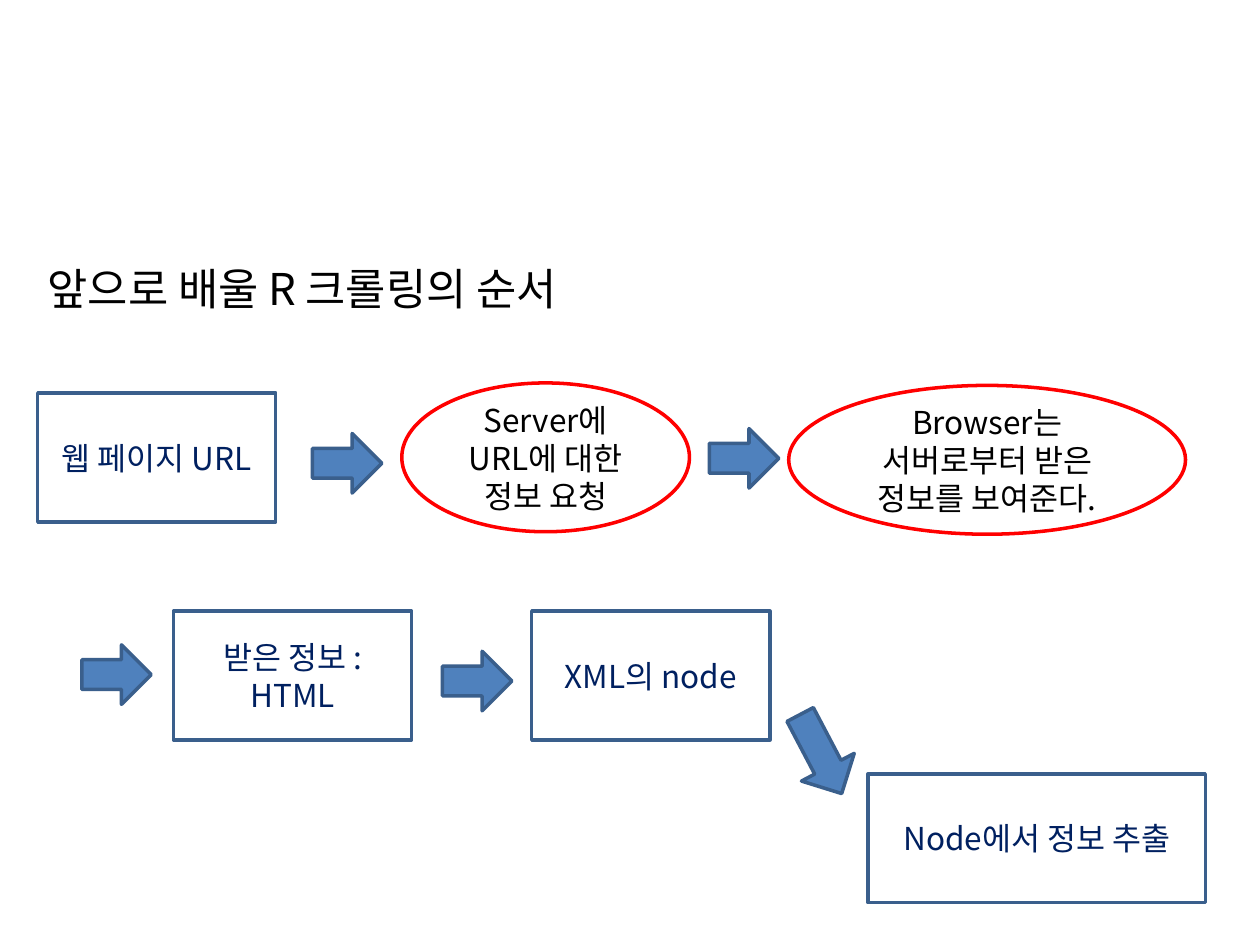
from dataclasses import dataclass

from lxml.etree import SubElement
from pptx import Presentation
from pptx.dml.color import RGBColor
from pptx.enum.shapes import MSO_SHAPE
from pptx.enum.text import MSO_ANCHOR, MSO_AUTO_SIZE, PP_ALIGN
from pptx.oxml.ns import qn
from pptx.util import Cm, Pt


@dataclass(frozen=True)
class Theme:
    font: str = "Noto Sans CJK KR"
    black: RGBColor = RGBColor(0, 0, 0)
    navy: RGBColor = RGBColor(0x00, 0x20, 0x60)
    blue: RGBColor = RGBColor(0x4F, 0x81, 0xBD)
    edge: RGBColor = RGBColor(0x3A, 0x5F, 0x8C)
    red: RGBColor = RGBColor(0xFF, 0, 0)
    title_size: Pt = Pt(25)
    body_size: Pt = Pt(18)
    leading: Pt = Pt(21.7)
    line: Pt = Pt(2)


THEME = Theme()


def set_attrs(obj, **values):
    for name, value in values.items():
        setattr(obj, name, value)


def write(shape, text, size, color, align, **frame):
    tf = shape.text_frame
    set_attrs(tf, word_wrap=True, auto_size=MSO_AUTO_SIZE.NONE,
              vertical_anchor=MSO_ANCHOR.MIDDLE, **frame)
    p = tf.paragraphs[0]
    p.alignment = align
    r = p.add_run()
    r.text = text
    set_attrs(r.font, name=THEME.font, size=size)
    r.font.color.rgb = color
    SubElement(r.font._element, qn("a:ea"), typeface=THEME.font)
    return p


def add_title(s, text):
    title = s.shapes.title
    set_attrs(title, left=Cm(0.71), top=Cm(4.72), width=Cm(24), height=Cm(2.16))
    write(title, text, THEME.title_size, THEME.black, PP_ALIGN.LEFT)


def add_outline(s, kind, left, top, width, height, edge):
    sp = s.shapes.add_shape(kind, Cm(left), Cm(top), Cm(width), Cm(height))
    sp.shadow.inherit = False
    sp.fill.background()
    sp.line.color.rgb = edge
    sp.line.width = THEME.line
    return sp


def add_label(sp, text, color, pad=0.25):
    p = write(sp, text, THEME.body_size, color, PP_ALIGN.CENTER,
              margin_left=Cm(pad), margin_right=Cm(pad))
    p.line_spacing = THEME.leading


def add_box(s, text, left, top, width=4.8, pad=0.25):
    sp = add_outline(s, MSO_SHAPE.RECTANGLE, left, top, width, 2.6, THEME.edge)
    add_label(sp, text, THEME.navy, pad)


def add_oval(s, text, left, top, width):
    sp = add_outline(s, MSO_SHAPE.OVAL, left, top, width, 3, THEME.red)
    add_label(sp, text, THEME.black)


def add_arrow(s, left, top, width=1.4, height=1.2,
              kind=MSO_SHAPE.RIGHT_ARROW, rotation=0):
    sp = add_outline(s, kind, left, top, width, height, THEME.edge)
    sp.fill.solid()
    sp.fill.fore_color.rgb = THEME.blue
    sp.rotation = rotation


def main():
    prs = Presentation()
    set_attrs(prs, slide_width=Cm(25.4), slide_height=Cm(19.05))
    s = prs.slides.add_slide(prs.slide_layouts[0])
    subtitle = s.placeholders[1]._element
    subtitle.getparent().remove(subtitle)

    add_title(s, "앞으로 배울 R 크롤링의 순서")

    add_box(s, "웹 페이지 URL", 0.76, 7.92)
    add_oval(s, "Server에 URL에 대한 정보 요청", 8.1, 7.72, 5.8)
    add_oval(s, "Browser는 서버로부터 받은 정보를 보여준다.", 15.9, 7.77, 8)
    add_box(s, "받은 정보 : HTML", 3.5, 12.32, pad=0.6)
    add_box(s, "XML의 node", 10.72, 12.32)
    add_box(s, "Node에서 정보 추출", 17.5, 15.6, 6.8)

    for left, top in ((6.3, 8.74), (14.3, 8.64), (1.65, 13), (8.92, 13.13)):
        add_arrow(s, left, top)
    add_arrow(s, 15.95, 14.3, 1.2, 1.8, MSO_SHAPE.DOWN_ARROW, 332.3)

    prs.save("out.pptx")


if __name__ == "__main__":
    main()
